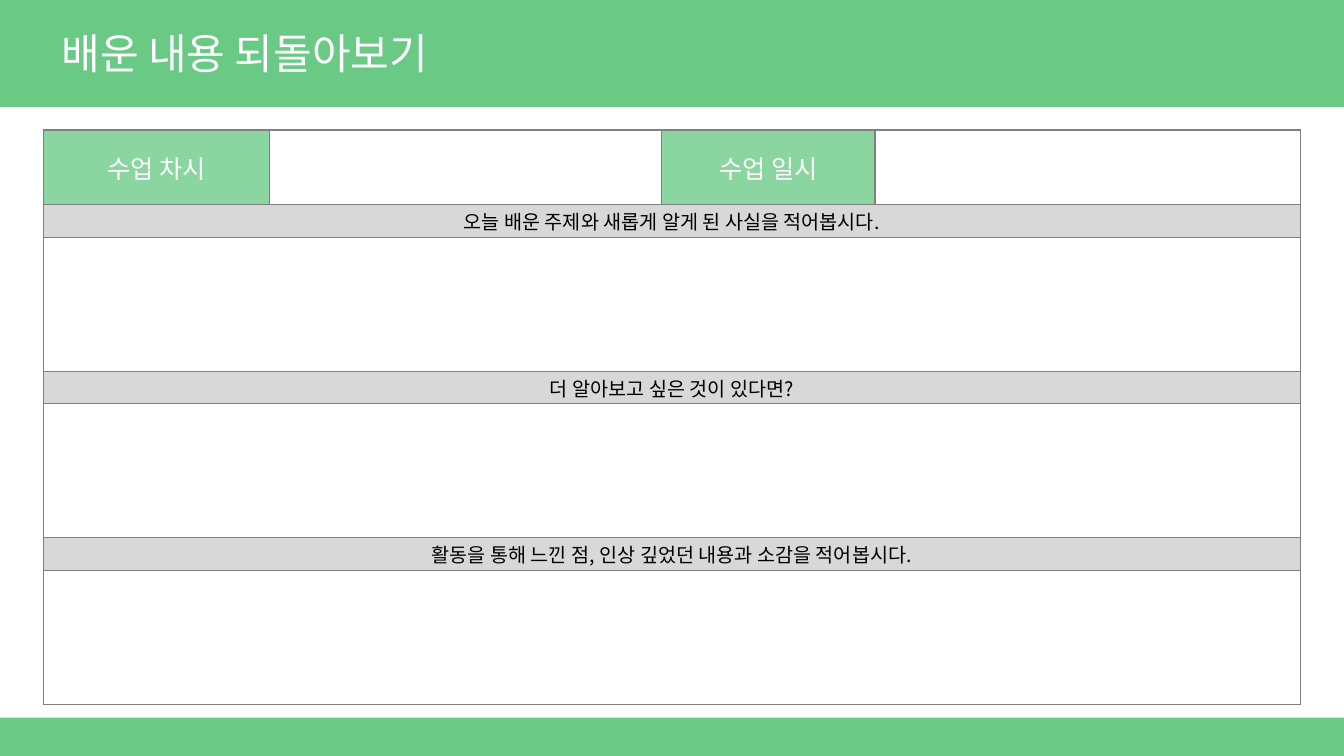
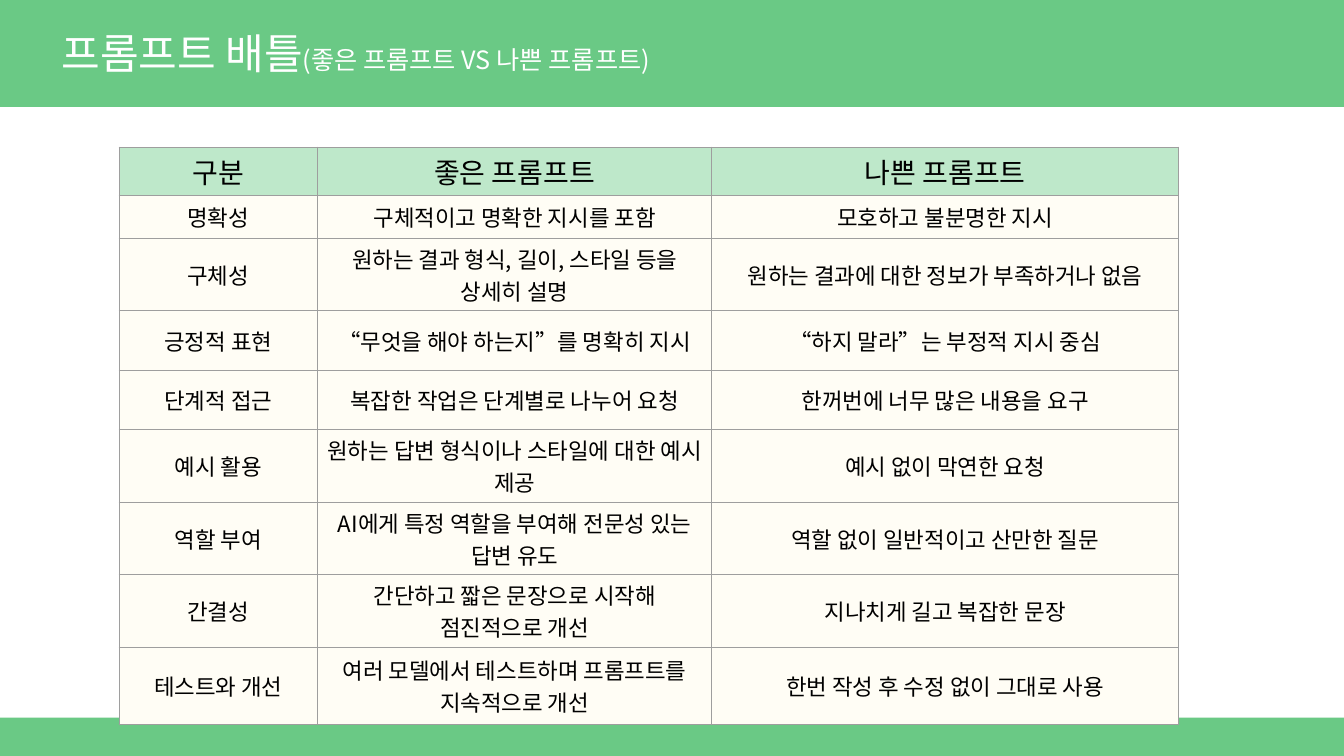
from lxml.etree import SubElement
from pptx import Presentation
from pptx.dml.color import RGBColor
from pptx.enum.shapes import MSO_SHAPE
from pptx.enum.text import MSO_ANCHOR as ANC, MSO_AUTO_SIZE, PP_ALIGN as AL
from pptx.oxml.ns import qn
from pptx.util import Inches, Pt

W, H = 13.33, 7.5
FONT = "Noto Sans CJK KR"
GREEN, LABEL, HEAD = "6AC985", "8BD5A0", "BEE8CA"
WHITE, BLACK, GREY, CREAM = "FFFFFF", "000000", "D8D8D8", "FFFDF5"
BANDS = [(0, 1.06), (7.12, 0.38)]
TITLE_BOX = (0.51, 0.22, 11.5, 0.66)

REVIEW_BOX = (0.43, 1.29, 12.48, 5.6)
REVIEW_COLS = [2.24, 3.89, 2.12, 4.22]
REVIEW_LABELS = ["수업 차시", "", "수업 일시", ""]
QUESTIONS = [
    "오늘 배운 주제와 새롭게 알게 된 사실을 적어봅시다.",
    "더 알아보고 싶은 것이 있다면?",
    "활동을 통해 느낀 점, 인상 깊었던 내용과 소감을 적어봅시다.",
]

BATTLE_BOX = (1.18, 1.46, 10.51, 5.29)
BATTLE_COLS = [1.97, 3.91, 4.63]
BATTLE_HEIGHTS = [0.43, 0.42, 0.63, 0.59, 0.59, 0.63, 0.63, 0.63, 0.76]
BATTLE_ROWS = [
    ("구분", "좋은 프롬프트", "나쁜 프롬프트"),
    ("명확성", "구체적이고 명확한 지시를 포함", "모호하고 불분명한 지시"),
    ("구체성", "원하는 결과 형식, 길이, 스타일 등을 상세히 설명",
     "원하는 결과에 대한 정보가 부족하거나 없음"),
    ("긍정적 표현", "“무엇을 해야 하는지”를 명확히 지시", "“하지 말라”는 부정적 지시 중심"),
    ("단계적 접근", "복잡한 작업은 단계별로 나누어 요청", "한꺼번에 너무 많은 내용을 요구"),
    ("예시 활용", "원하는 답변 형식이나 스타일에 대한 예시 제공", "예시 없이 막연한 요청"),
    ("역할 부여", "AI에게 특정 역할을 부여해 전문성 있는 답변 유도",
     "역할 없이 일반적이고 산만한 질문"),
    ("간결성", "간단하고 짧은 문장으로 시작해 점진적으로 개선", "지나치게 길고 복잡한 문장"),
    ("테스트와 개선", "여러 모델에서 테스트하며 프롬프트를 지속적으로 개선",
     "한번 작성 후 수정 없이 그대로 사용"),
]


def paint(fill, color):
    """Give a fill one solid colour."""
    fill.solid()
    fill.fore_color.rgb = RGBColor.from_string(color)


def style_run(r, size, color):
    """Set size, colour and the shared font of a run."""
    r.font.size = Pt(size)
    r.font.bold = False
    paint(r.font.fill, color)
    r.font.name = FONT
    SubElement(r.font._element, qn("a:ea"), typeface=FONT)


def set_borders(cell, color, width):
    """Draw the four edges of a cell."""
    tcPr = cell._tc.get_or_add_tcPr()
    for side in ("lnL", "lnR", "lnT", "lnB"):
        ln = SubElement(tcPr, qn(f"a:{side}"), w=str(Pt(width)))
        SubElement(SubElement(ln, qn("a:solidFill")), qn("a:srgbClr"), val=color)


def style_cell(cell, text, fill, size, color, margins, anchor=ANC.MIDDLE):
    """Fill a cell and write its centred text."""
    paint(cell.fill, fill)
    cell.vertical_anchor = anchor
    cell.margin_left = cell.margin_right = Inches(margins[0])
    cell.margin_top = cell.margin_bottom = Inches(margins[1])
    if text:
        cell.text_frame.text = text
        p = cell.text_frame.paragraphs[0]
        p.alignment = AL.CENTER
        style_run(p.runs[0], size, color)


def add_grid(s, box, cols, rows, color, width):
    """Add a plain bordered table with the given column widths and row heights."""
    frame = s.shapes.add_table(len(rows), len(cols), *map(Inches, box))
    table = frame.table
    table.first_row = table.horz_banding = False
    for col, w in zip(table.columns, cols):
        col.width = Inches(w)
    for row, h in zip(table.rows, rows):
        row.height = Inches(h)
    for cell in table.iter_cells():
        set_borders(cell, color, width)
    return table


def set_up_layout(layout, s):
    """Place the bands and the title on the layout shared by all slides."""
    for ph in list(layout.placeholders):
        if ph.placeholder_format.idx:
            ph.element.getparent().remove(ph.element)
        else:
            ph.left, ph.top, ph.width, ph.height = map(Inches, TITLE_BOX)
    for top, height in BANDS:
        sp = s.shapes.add_shape(MSO_SHAPE.RECTANGLE, 0, Inches(top), Inches(W), Inches(height))
        sp.shadow.inherit = False
        paint(sp.fill, GREEN)
        sp.line.fill.background()
    for sp in list(s.shapes)[-len(BANDS):]:
        layout.shapes.element.insert(2, sp.element)


def set_title(s, *parts):
    """Write the title from (text, size) parts."""
    tf = s.shapes.title.text_frame
    tf.auto_size = MSO_AUTO_SIZE.NONE
    tf.vertical_anchor = ANC.MIDDLE
    p = tf.paragraphs[0]
    p.alignment = AL.LEFT
    p.line_spacing = 0.9
    for text, size in parts:
        r = p.add_run()
        r.text = text
        style_run(r, size, WHITE)


def add_review(s, box):
    """Add the lesson form: a row of labels, then questions with answer space."""
    heights = [0.74] + [0.29, 1.33] * len(QUESTIONS)
    table = add_grid(s, box, REVIEW_COLS, heights, "808080", 1)
    for c, text in enumerate(REVIEW_LABELS):
        style_cell(table.cell(0, c), text, LABEL if text else WHITE, 18, WHITE, (0.1, 0.05))
    for i, question in enumerate(QUESTIONS):
        for row, text, fill in ((2 * i + 1, question, GREY), (2 * i + 2, "", WHITE)):
            cell = table.cell(row, 0)
            cell.merge(table.cell(row, len(REVIEW_COLS) - 1))
            style_cell(cell, text, fill, 14, BLACK, (0.07, 0.02))


def add_battle(s, box):
    """Add the comparison table with its header row."""
    table = add_grid(s, box, BATTLE_COLS, BATTLE_HEIGHTS, "9E9E9E", 0.75)
    for i, row in enumerate(BATTLE_ROWS):
        fill, size, anchor = (CREAM, 16, ANC.MIDDLE) if i else (HEAD, 20, ANC.TOP)
        for c, text in enumerate(row):
            style_cell(table.cell(i, c), text, fill, size, BLACK, (0.04, 0.04), anchor)


def main():
    """Build and save the deck."""
    prs = Presentation()
    prs.slide_width, prs.slide_height = Inches(W), Inches(H)
    layout = prs.slide_layouts[5]

    s = prs.slides.add_slide(layout)
    set_up_layout(layout, s)
    set_title(s, ("배운 내용 되돌아보기", 30))
    add_review(s, REVIEW_BOX)

    s = prs.slides.add_slide(layout)
    set_title(s, ("프롬프트 배틀", 30), ("(좋은 프롬프트 VS 나쁜 프롬프트)", 18))
    add_battle(s, BATTLE_BOX)

    prs.save("out.pptx")


if __name__ == "__main__":
    main()
